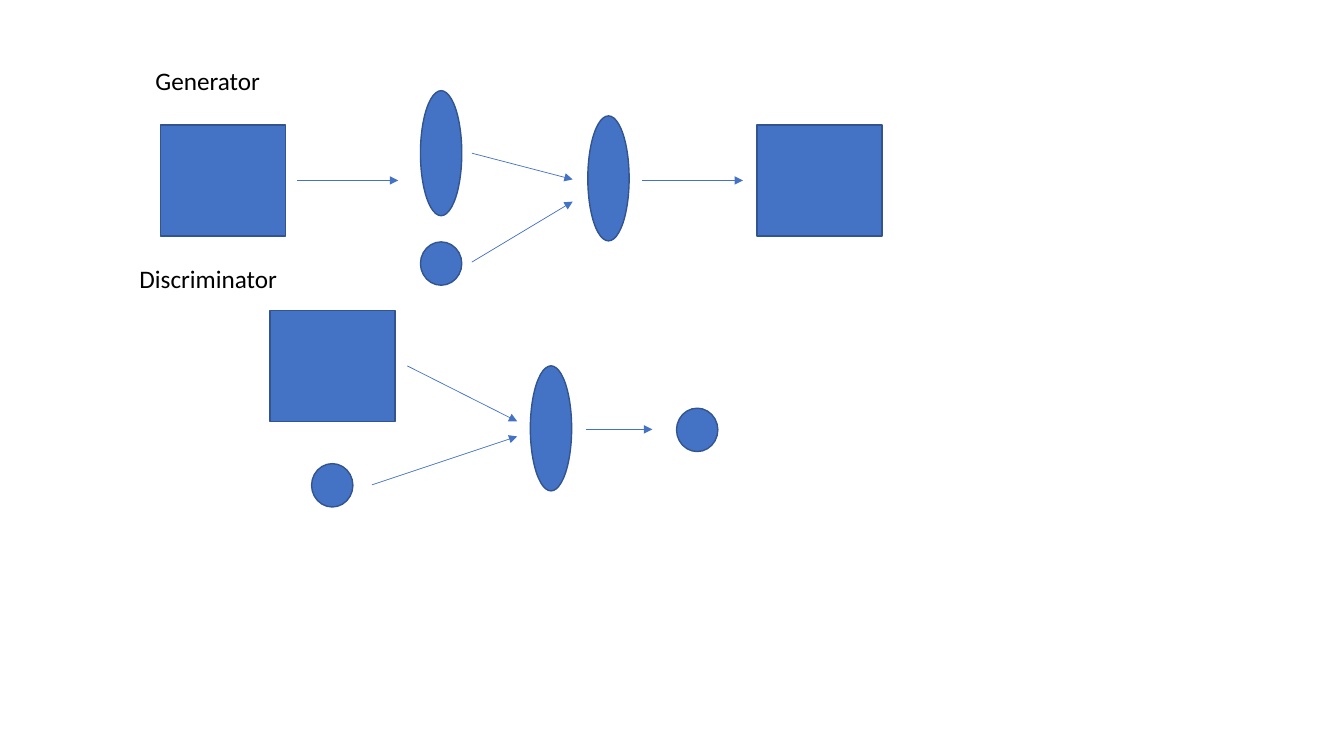
from lxml import etree
from pptx import Presentation
from pptx.dml.color import RGBColor
from pptx.enum.shapes import MSO_CONNECTOR, MSO_SHAPE
from pptx.enum.text import MSO_AUTO_SIZE, PP_ALIGN
from pptx.oxml.ns import qn
from pptx.util import Inches, Pt

COLORS = {"fill": "4472C4", "outline": "325491", "text": "000000"}

# Each kind of node has one preset and one size.
IMAGE = (MSO_SHAPE.RECTANGLE, 1.24, 1.1)
LAYER = (MSO_SHAPE.OVAL, 0.41, 1.24)
VECTOR = (MSO_SHAPE.OVAL, 0.41, 0.43)

generator_nodes = [
    (IMAGE, 1.59, 1.24),
    (LAYER, 4.17, 0.9),
    (VECTOR, 4.17, 2.4),
    (LAYER, 5.83, 1.15),
    (IMAGE, 7.51, 1.24),
]
discriminator_nodes = [
    (IMAGE, 2.68, 3.08),
    (VECTOR, 3.09, 4.6),
    (LAYER, 5.26, 3.63),
    (VECTOR, 6.71, 4.05),
]
generator_arrows = [
    (2.95, 1.79, 3.95, 1.79),
    (4.68, 1.52, 5.68, 1.78),
    (4.68, 2.6, 5.68, 2),
    (6.37, 1.79, 7.37, 1.79),
]
discriminator_arrows = [
    (4.04, 3.63, 5.13, 4.18),
    (3.69, 4.81, 5.13, 4.33),
    (5.81, 4.26, 6.47, 4.26),
]
headings = [
    ("Generator", 1.3, 0.6, 1.52),
    ("Discriminator", 1.17, 2.56, 1.79),
]

presentation = Presentation()
presentation.slide_width = Inches(13.33)
presentation.slide_height = Inches(7.5)
slide = presentation.slides.add_slide(presentation.slide_layouts[6])

for (preset, width, height), left, top in generator_nodes + discriminator_nodes:
    node = slide.shapes.add_shape(
        preset, Inches(left), Inches(top), Inches(width), Inches(height)
    )
    node.shadow.inherit = False
    node.fill.solid()
    node.fill.fore_color.rgb = RGBColor.from_string(COLORS["fill"])
    node.line.color.rgb = RGBColor.from_string(COLORS["outline"])
    node.line.width = Pt(1)

for points in generator_arrows + discriminator_arrows:
    arrow = slide.shapes.add_connector(
        MSO_CONNECTOR.STRAIGHT, *[Inches(value) for value in points]
    )
    arrow.line.color.rgb = RGBColor.from_string(COLORS["fill"])
    arrow.line.width = Pt(0.5)
    etree.SubElement(arrow.line._get_or_add_ln(), qn("a:tailEnd"), type="triangle")
    etree.SubElement(arrow._element.spPr, qn("a:effectLst"))

for text, left, top, width in headings:
    heading = slide.shapes.add_textbox(
        Inches(left), Inches(top), Inches(width), Inches(0.4)
    )
    text_frame = heading.text_frame
    text_frame.word_wrap = True
    text_frame.auto_size = MSO_AUTO_SIZE.SHAPE_TO_FIT_TEXT
    text_frame.text = text
    paragraph = text_frame.paragraphs[0]
    paragraph.alignment = PP_ALIGN.CENTER
    font = paragraph.runs[0].font
    font.name = "Calibri"
    font.size = Pt(18)
    font.color.rgb = RGBColor.from_string(COLORS["text"])

presentation.save("out.pptx")
